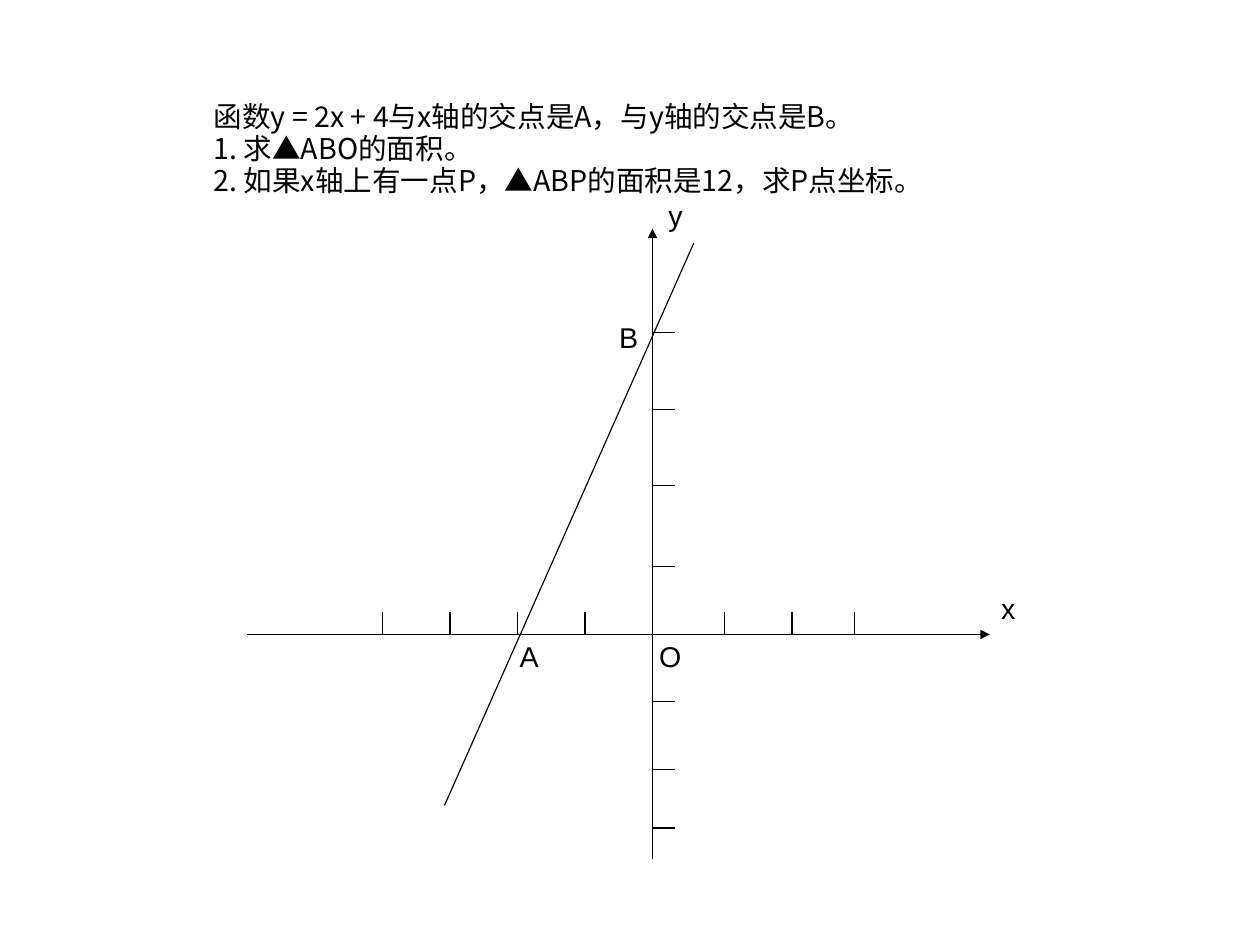
from lxml import etree
from pptx import Presentation
from pptx.dml.color import RGBColor
from pptx.enum.shapes import MSO_CONNECTOR
from pptx.oxml.ns import qn
from pptx.util import Pt

STRAIGHT = MSO_CONNECTOR.STRAIGHT
COLORS = {"ink": "000000"}
LATIN = "Arial"
HAN = "Noto Sans CJK SC"
ORIGIN_X, ORIGIN_Y = 411, 399.6
STEP = 42.5
TICK = 14.2

TASK = [
    "函数y = 2x + 4与x轴的交点是A，与y轴的交点是B。",
    "1. 求▲ABO的面积。",
    "2. 如果x轴上有一点P，▲ABP的面积是12，求P点坐标。",
]
LABELS = [
    ("x", 623.5, 369.2, 23),
    ("y", 413.9, 121.6, 23),
    ("O", 408.2, 399.5, 28),
    ("A", 320.3, 399.5, 26),
    ("B", 382.9, 198.6, 26),
]
X_TICKS = [-4 * STEP, -3 * STEP, -2 * STEP, -STEP, 45.4, 87.9, 127.5]
Y_TICKS = [-190, -141.8, -93.6, -STEP, STEP, 2 * STEP, 122]


def add_line(slide, x1, y1, x2, y2, arrow=False):
    line = slide.shapes.add_connector(STRAIGHT, Pt(x1), Pt(y1), Pt(x2), Pt(y2))
    line.line.color.rgb = RGBColor.from_string(COLORS["ink"])
    line.line.width = Pt(0.75)
    if arrow:
        etree.SubElement(line.line._get_or_add_ln(), qn("a:tailEnd"), type="triangle")
    etree.SubElement(line._element.spPr, qn("a:effectLst"))


def add_text(slide, lines, x, y, width, height, font):
    box = slide.shapes.add_textbox(Pt(x), Pt(y), Pt(width), Pt(height))
    frame = box.text_frame
    frame.word_wrap = True
    frame.margin_left = frame.margin_right = Pt(7.1)
    frame.margin_top, frame.margin_bottom = Pt(4.7), Pt(3.5)
    frame.text = "\n".join(lines)
    for para in frame.paragraphs:
        para.line_spacing = 0.93
        para.font.size = Pt(18)
        para.font.name = font
        para.font.color.rgb = RGBColor.from_string(COLORS["ink"])
        base = para._p.pPr.find(qn("a:defRPr"))
        etree.SubElement(base, qn("a:ea"), typeface=HAN)


def add_axes(slide):
    add_line(slide, ORIGIN_X, 541.4, ORIGIN_X, 144, arrow=True)
    add_line(slide, 155.5, ORIGIN_Y, 623.5, ORIGIN_Y, arrow=True)
    for shift in X_TICKS:
        x = ORIGIN_X + shift
        add_line(slide, x, ORIGIN_Y + 0.5, x, ORIGIN_Y - TICK)
    for shift in Y_TICKS:
        y = ORIGIN_Y + shift
        add_line(slide, ORIGIN_X, y, ORIGIN_X + TICK, y)


def main():
    deck = Presentation()
    deck.slide_width, deck.slide_height = Pt(793.7), Pt(595.25)
    slide = deck.slides.add_slide(deck.slide_layouts[6])
    add_axes(slide)
    add_line(slide, 437, 153.2, 280, 507.4)
    add_text(slide, TASK, 127.5, 59.7, 593.3, 67.7, HAN)
    for name, x, y, width in LABELS:
        add_text(slide, [name], x, y, width, 27.4, LATIN)
    deck.save("out.pptx")


if __name__ == "__main__":
    main()
